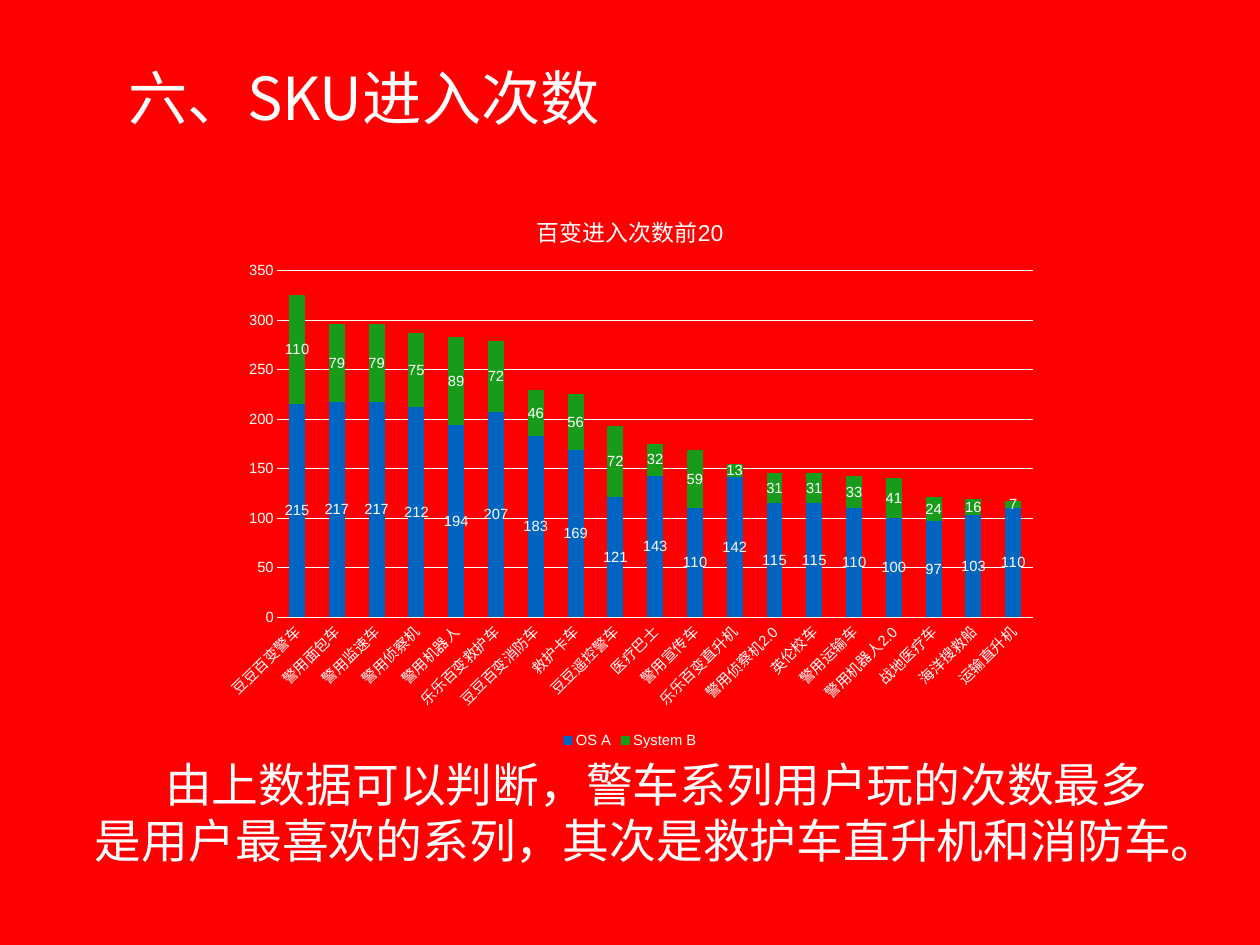
from lxml.etree import SubElement
from pptx import Presentation
from pptx.chart.data import CategoryChartData
from pptx.dml.color import RGBColor
from pptx.enum.chart import XL_CHART_TYPE, XL_LABEL_POSITION, XL_LEGEND_POSITION, XL_TICK_MARK
from pptx.enum.text import MSO_ANCHOR, MSO_AUTO_SIZE, PP_ALIGN
from pptx.oxml.ns import qn
from pptx.util import Cm, Pt

WHITE = "FFFFFF"
CJK_FONT = "Noto Sans CJK SC"
VEHICLES = [
    ("豆豆百变警车", 215, 110), ("警用面包车", 217, 79), ("警用监速车", 217, 79),
    ("警用侦察机", 212, 75), ("警用机器人", 194, 89), ("乐乐百变救护车", 207, 72),
    ("豆豆百变消防车", 183, 46), ("救护卡车", 169, 56), ("豆豆遥控警车", 121, 72),
    ("医疗巴士", 143, 32), ("警用宣传车", 110, 59), ("乐乐百变直升机", 142, 13),
    ("警用侦察机2.0", 115, 31), ("英伦校车", 115, 31), ("警用运输车", 110, 33),
    ("警用机器人2.0", 100, 41), ("战地医疗车", 97, 24), ("海洋搜救船", 103, 16),
    ("运输直升机", 110, 7),
]
SYSTEMS = [("OS A", "0065C1"), ("System B", "189B1A")]
CONCLUSION = ["由上数据可以判断，警车系列用户玩的次数最多",
              "是用户最喜欢的系列，其次是救护车直升机和消防车。"]


def color(hex_code):
    """Turn a hex string into a colour."""
    return RGBColor.from_string(hex_code)


def style_font(font, size, name="Arial"):
    """Give a font its size, typeface and white colour."""
    font.size = Pt(size)
    font.name = name
    font.color.rgb = color(WHITE)


def add_span(para, text, size, name):
    """Append one run with matching Latin and East Asian typefaces."""
    span = para.add_run()
    span.text = text
    style_font(span.font, size, name)
    SubElement(span.font._element, qn("a:ea")).set("typeface", CJK_FONT)


def set_frame(frame, anchor, wrap):
    """Set anchoring, wrapping and equal insets of a text frame."""
    frame.auto_size = MSO_AUTO_SIZE.NONE
    frame.vertical_anchor = anchor
    frame.word_wrap = wrap
    frame.margin_left = frame.margin_right = Cm(0.15)
    frame.margin_top = frame.margin_bottom = Cm(0.15)


def add_title(page, text):
    """Place and format the slide title."""
    title = page.shapes.title
    title.left, title.top, title.width, title.height = Cm(3.53), Cm(1.73), Cm(29.06), Cm(2.24)
    set_frame(title.text_frame, MSO_ANCHOR.BOTTOM, True)
    para = title.text_frame.paragraphs[0]
    para.alignment = PP_ALIGN.LEFT
    para.line_spacing = 0.9
    add_span(para, text, 48.2, CJK_FONT)


def add_conclusion(page, lines):
    """Add the centred closing statement."""
    box = page.shapes.add_textbox(Cm(2.44), Cm(21.51), Cm(32.77), Cm(3.53))
    frame = box.text_frame
    set_frame(frame, MSO_ANCHOR.MIDDLE, False)
    for index, line in enumerate(lines):
        para = frame.add_paragraph() if index else frame.paragraphs[0]
        para.alignment = PP_ALIGN.CENTER
        para.line_spacing = Pt(45.5)
        add_span(para, line, 38, "Arial")


def style_axes(chart):
    """Format both axes and the gridlines."""
    category, value = chart.category_axis, chart.value_axis
    for axis in (category, value):
        axis.major_tick_mark = axis.minor_tick_mark = XL_TICK_MARK.NONE
        style_font(axis.tick_labels.font, 12)
    value.minimum_scale, value.maximum_scale, value.major_unit = 0, 350, 50
    value.format.line.fill.background()
    for line in (category.format.line, value.major_gridlines.format.line):
        line.color.rgb = color(WHITE)
        line.width = Pt(0.75)
    category._element.find(qn("c:txPr")).find(qn("a:bodyPr")).set("rot", "-2700000")


def style_series(plot):
    """Colour the stacked series and show their values."""
    plot.gap_width, plot.overlap = 150, 100
    plot.vary_by_categories = False
    for series, (_, fill) in zip(plot.series, SYSTEMS):
        series.format.fill.solid()
        series.format.fill.fore_color.rgb = color(fill)
        labels = series.data_labels
        labels.show_value = True
        labels.position = XL_LABEL_POSITION.CENTER
        style_font(labels.font, 12)


def set_plot_layout(chart, **fractions):
    """Fix the inner plot area as fractions of the chart."""
    plot_area = chart._chartSpace.chart.plotArea
    layout = plot_area.find(qn("c:layout"))
    if layout is None:
        layout = SubElement(plot_area, qn("c:layout"))
        plot_area.insert(0, layout)
    manual = SubElement(layout, qn("c:manualLayout"))
    settings = {"layoutTarget": "inner", "xMode": "edge", "yMode": "edge", **fractions}
    for tag, setting in settings.items():
        SubElement(manual, qn(f"c:{tag}")).set("val", str(setting))


def add_entry_chart(page):
    """Add the stacked column chart of entries per vehicle."""
    names, *counts = zip(*VEHICLES)
    entries = CategoryChartData(number_format="General")
    entries.categories = names
    for (system, _), values in zip(SYSTEMS, counts):
        entries.add_series(system, values)
    chart = page.shapes.add_chart(XL_CHART_TYPE.COLUMN_STACKED, Cm(6.02), Cm(5.51),
                                  Cm(24.08), Cm(16.05), entries).chart
    style_font(chart.font, 10)
    chart.has_title = True
    add_span(chart.chart_title.text_frame.paragraphs[0], "百变进入次数前20", 18.6, "Arial")
    chart.font.bold = chart.chart_title.text_frame.paragraphs[0].runs[0].font.bold = False
    chart.has_legend = True
    chart.legend.position = XL_LEGEND_POSITION.BOTTOM
    chart.legend.include_in_layout = False
    style_font(chart.legend.font, 12)
    style_axes(chart)
    style_series(chart.plots[0])
    set_plot_layout(chart, x=0.08, y=0.14, w=0.9, h=0.62)


def main():
    """Build and save the slide."""
    deck = Presentation()
    deck.slide_width, deck.slide_height = Cm(36.12), Cm(27.1)
    page = deck.slides.add_slide(deck.slide_layouts[5])
    page.background.fill.solid()
    page.background.fill.fore_color.rgb = color("FF0000")
    add_title(page, "六、SKU进入次数")
    add_entry_chart(page)
    add_conclusion(page, CONCLUSION)
    deck.save("out.pptx")


if __name__ == "__main__":
    main()
